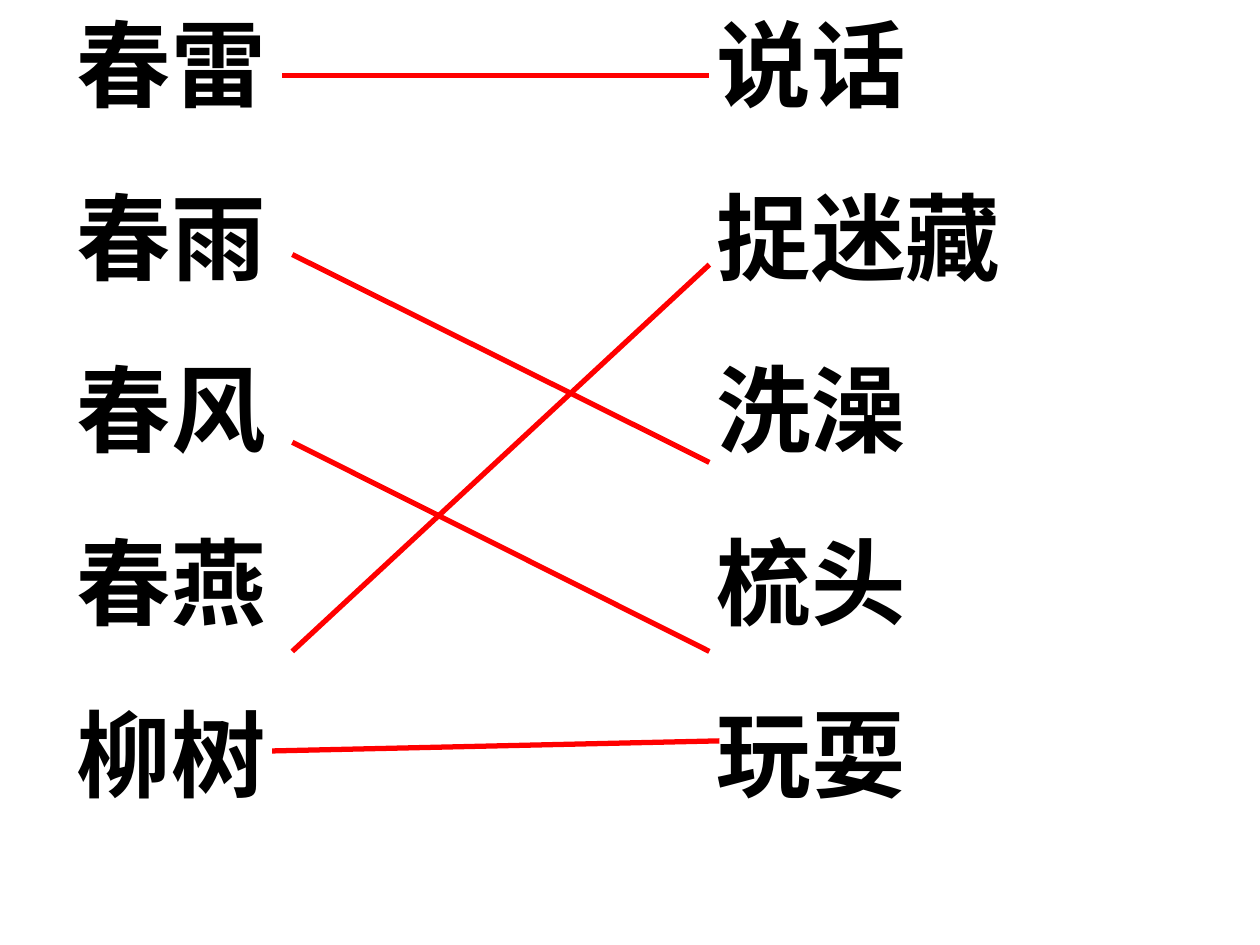
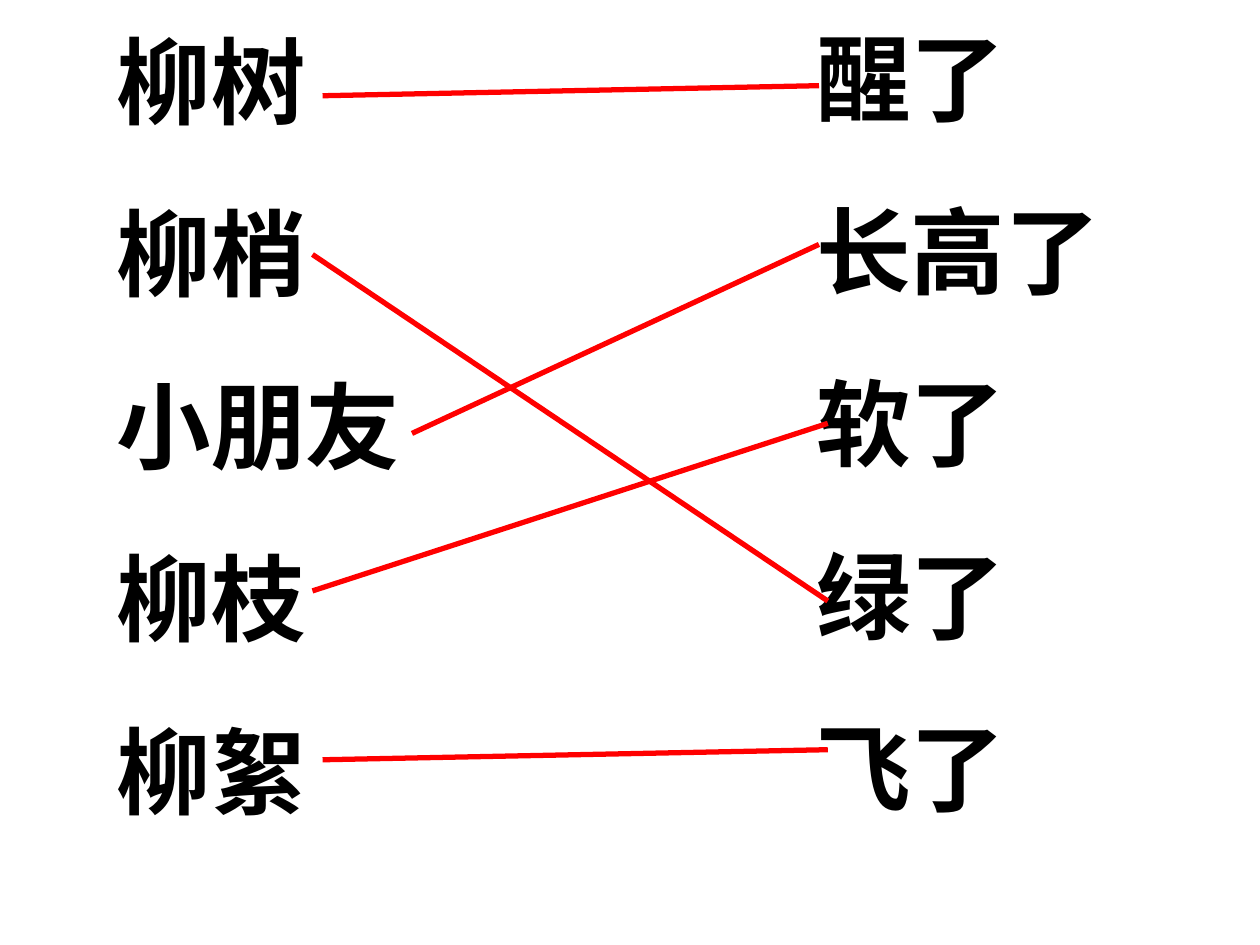
from lxml import etree
from pptx import Presentation
from pptx import util as u
from pptx.dml.color import RGBColor
from pptx.enum import lang, shapes, text
from pptx.oxml.ns import qn

# Shared style
INK, MATCH_RED = "000000", "FF0000"
WORD_FONT = {"name": "Times New Roman", "size": u.Pt(54), "bold": True,
             "language_id": lang.MSO_LANGUAGE_ID.SIMPLIFIED_CHINESE}
FRAME = {"word_wrap": True, "auto_size": text.MSO_AUTO_SIZE.NONE,
         "vertical_anchor": text.MSO_ANCHOR.TOP}
WORD_GAP = u.Pt(33.8)


def paint(color_format, hex_color):
    color_format.rgb = RGBColor.from_string(hex_color)


# Word columns as (left, top, width, height, words); matches as (x1, y1, x2, y2)
exercises = [
    {"columns": [
        (0.51, 0, 3.07, 6.48, ["春雷", "春雨", "春风", "春燕", "柳树"]),
        (5.59, 0, 5.24, 7.85, ["说话", "捉迷藏", "洗澡", "梳头", "玩耍"])],
     "matches": [
        (5.63, 2.1, 2.32, 5.17), (2.24, 0.6, 5.63, 0.6),
        (2.32, 2.02, 5.63, 3.67), (2.32, 3.51, 5.63, 5.17),
        (2.16, 5.96, 5.71, 5.88)]},
    {"columns": [
        (0.83, 0.13, 4.33, 6.48, ["柳树", "柳梢", "小朋友", "柳枝", "柳絮"]),
        (6.38, 0.11, 3.98, 6.48, ["醒了", "长高了", "软了", "绿了", "飞了"])],
     "matches": [
        (3.27, 3.44, 6.5, 1.94), (2.56, 0.76, 6.5, 0.68),
        (2.48, 2.02, 6.57, 4.77), (6.57, 3.36, 2.48, 4.69),
        (2.56, 6.03, 6.57, 5.95)]},
]

prs = Presentation()
prs.slide_width, prs.slide_height = u.Inches(10), u.Inches(7.5)

for exercise in exercises:
    s = prs.slides.add_slide(prs.slide_layouts[6])

    # Words to be matched, one paragraph each
    for *box, words in exercise["columns"]:
        tf = s.shapes.add_textbox(*map(u.Inches, box)).text_frame
        for key, value in FRAME.items():
            setattr(tf, key, value)
        for i, word in enumerate(words):
            p = tf.add_paragraph() if i else tf.paragraphs[0]
            p.space_before = WORD_GAP if i else u.Pt(0)
            r = p.add_run()
            r.text = word
            for key, value in WORD_FONT.items():
                setattr(r.font, key, value)
            paint(r.font.color, INK)

    # Red answer lines
    for ends in exercise["matches"]:
        line = s.shapes.add_connector(shapes.MSO_CONNECTOR.STRAIGHT,
                                      *map(u.Inches, ends))
        line.line.width = u.Pt(3)
        paint(line.line.color, MATCH_RED)
        etree.SubElement(line._element.spPr, qn("a:effectLst"))

prs.save("out.pptx")
